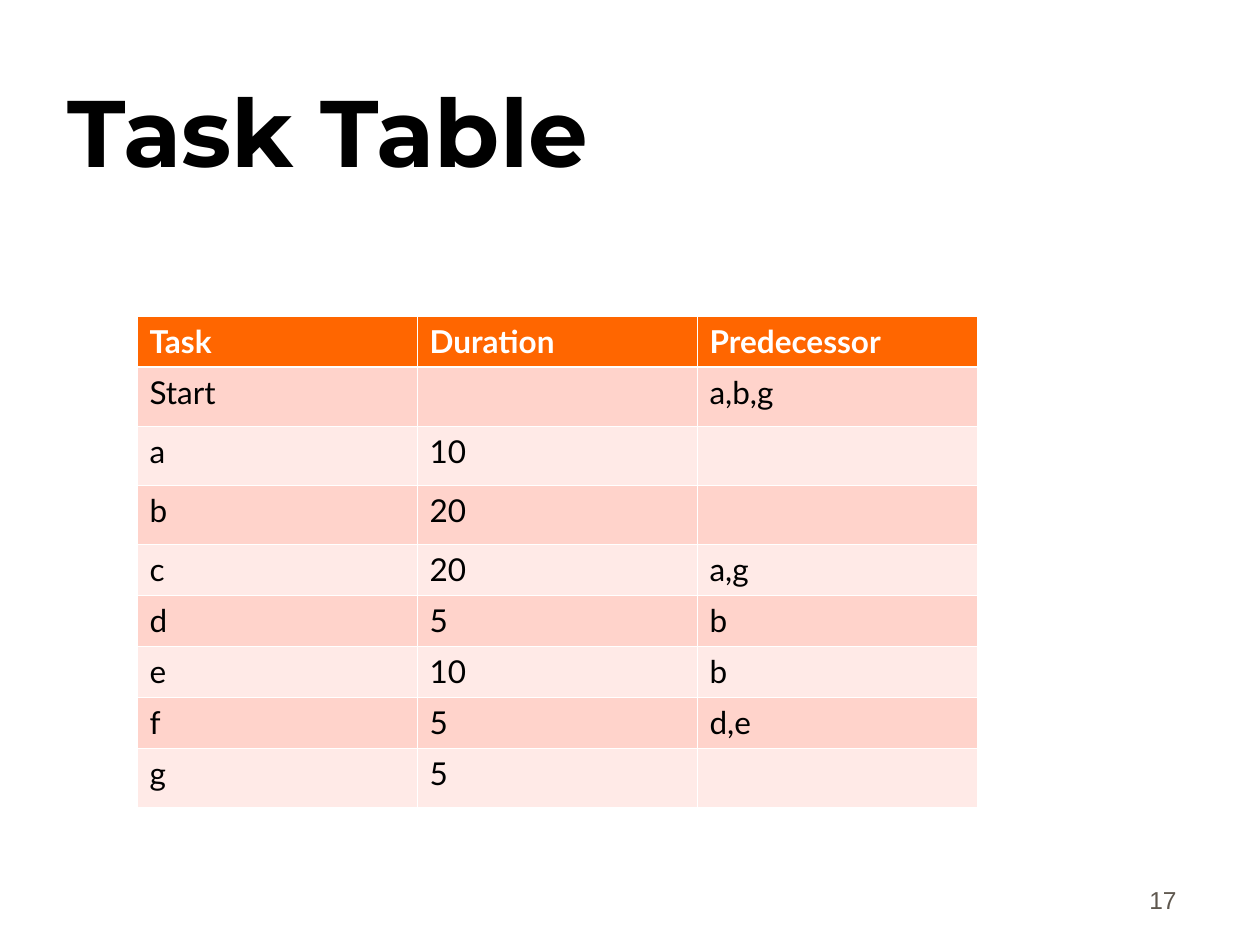
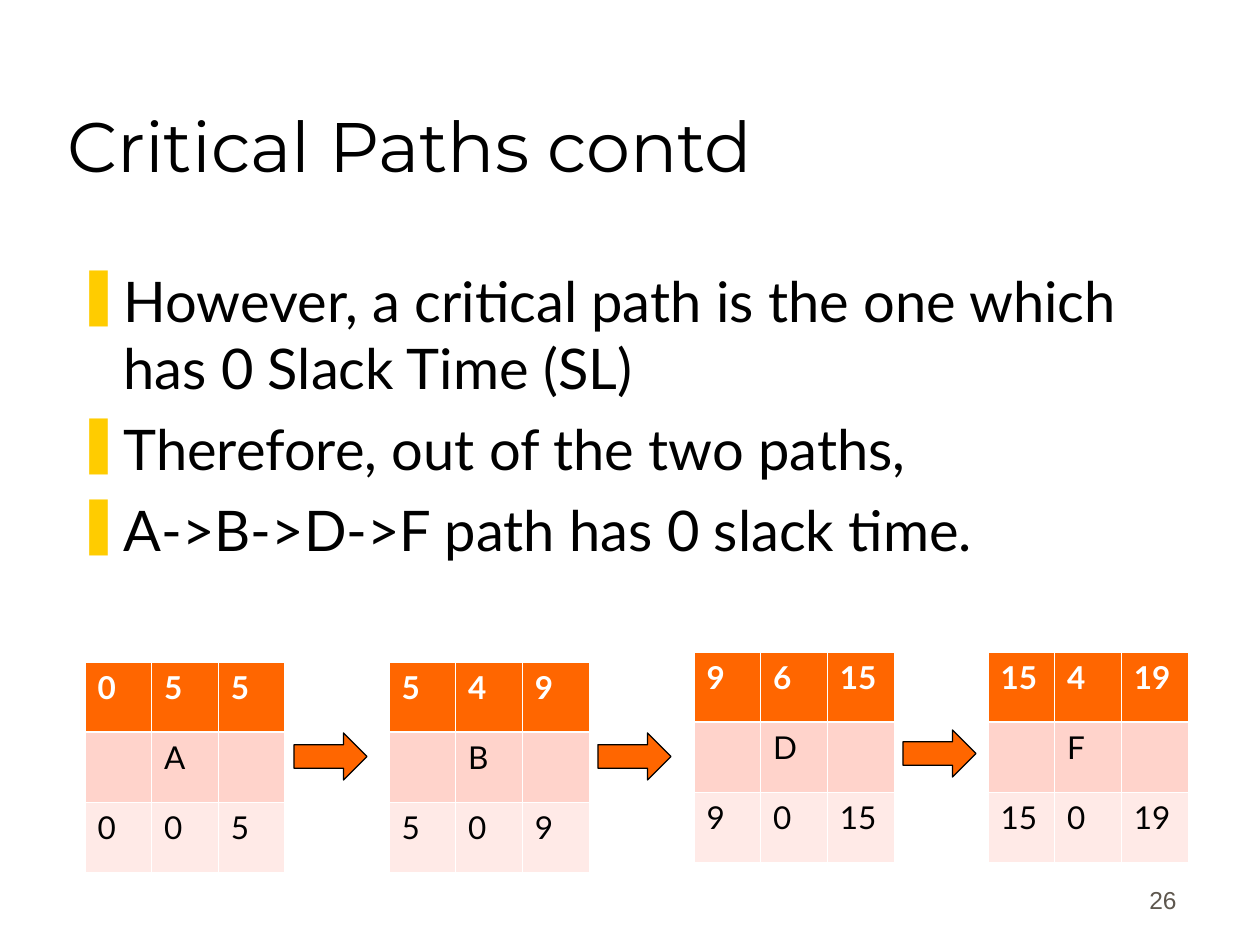
from lxml import etree
from pptx import Presentation
from pptx.dml.color import RGBColor
from pptx.enum.shapes import MSO_SHAPE
from pptx.enum.text import MSO_ANCHOR, PP_ALIGN
from pptx.oxml.ns import qn
from pptx.util import Pt

RIGHT_ARROW = MSO_SHAPE.RIGHT_ARROW
TOP, BOTTOM = MSO_ANCHOR.TOP, MSO_ANCHOR.BOTTOM
LEFT, RIGHT = PP_ALIGN.LEFT, PP_ALIGN.RIGHT

PX = 914400 / 126
COLORS = {
    "black": "000000",
    "white": "FFFFFF",
    "orange": "FF6600",
    "band_dark": "FFD3CB",
    "band_light": "FFEAE7",
    "bullet": "FFCC00",
    "number": "5E574E",
}
RGB = {name: RGBColor.from_string(value) for name, value in COLORS.items()}


def add_text(s, box, lines, size, font, color="black", bold=False, anchor=TOP, align=LEFT):
    tf = s.shapes.add_textbox(*[int(v * PX) for v in box]).text_frame
    tf.word_wrap = True
    tf.vertical_anchor = anchor
    tf.text = "\n".join(lines)
    for p in tf.paragraphs:
        p.alignment = align
        f = p.runs[0].font
        f.size, f.name, f.bold = Pt(size), font, bold
        f.color.rgb = RGB[color]
    return tf


def add_table(s, x, y, width, heights, rows):
    """Add a table with an orange header row, banded body and white rules."""
    cols = len(rows[0])
    frame = s.shapes.add_table(len(rows), cols, int(x * PX), int(y * PX),
                               int(width * PX), int(sum(heights) * PX))
    table = frame.table
    for col in table.columns:
        col.width = int(width * PX / cols)
    for i, row in enumerate(rows):
        table.rows[i].height = int(heights[i] * PX)
        fill = "orange" if i == 0 else ("band_light", "band_dark")[i % 2]
        for j, text in enumerate(row):
            cell = table.cell(i, j)
            tcPr = cell._tc.get_or_add_tcPr()
            for side in ("lnL", "lnR", "lnT", "lnB"):
                thick = (i, side) in ((0, "lnB"), (1, "lnT"))
                ln = etree.SubElement(tcPr, qn("a:" + side), w=str(Pt(1.47 if thick else 0.45)))
                solid = etree.SubElement(ln, qn("a:solidFill"))
                etree.SubElement(solid, qn("a:srgbClr"), val=COLORS["white"])
            cell.fill.solid()
            cell.fill.fore_color.rgb = RGB[fill]
            if text:
                p = cell.text_frame.paragraphs[0]
                p.text = text
                f = p.runs[0].font
                f.size, f.name, f.bold = Pt(18), "Lato", i == 0
                f.color.rgb = RGB["white" if i == 0 else "black"]


prs = Presentation()
prs.slide_width, prs.slide_height = int(1260 * PX), int(945 * PX)

# Titles and slide numbers
slides = []
for title, size, bold, number in (
    ("Task Table", 54, True, "17"),
    ("Critical Paths contd", 40, False, "26"),
):
    s = prs.slides.add_slide(prs.slide_layouts[6])
    tf = add_text(s, (55, 32, 1071, 157), [title], size, "Montserrat", bold=bold, anchor=BOTTOM)
    tf.margin_bottom = int(3 * PX)
    add_text(s, (927, 858, 262, 63), [number], 14, "Arial", "number", anchor=BOTTOM, align=RIGHT)
    slides.append(s)
task_slide, path_slide = slides

# Task table: rows with an empty cell are taller
tasks = [
    ("Task", "Duration", "Predecessor"),
    ("Start", "", "a,b,g"),
    ("a", "10", ""),
    ("b", "20", ""),
    ("c", "20", "a,g"),
    ("d", "5", "b"),
    ("e", "10", "b"),
    ("f", "5", "d,e"),
    ("g", "5", ""),
]
add_table(task_slide, 137, 316, 840, [51 if all(row) else 59 for row in tasks], tasks)

# Bulleted text
tf = add_text(path_slide, (63, 260, 1126, 575), [
    "However, a critical path is the one which has 0 Slack Time (SL)",
    "Therefore, out of the two paths,",
    "A->B->D->F path has 0 slack time.",
], 32, "Lato")
for i, p in enumerate(tf.paragraphs):
    if i:
        p.space_before = Pt(8)
    pPr = p._p.get_or_add_pPr()
    pPr.set("marL", str(int(48 * PX)))
    pPr.set("indent", str(int(-48 * PX)))
    clr = etree.SubElement(pPr, qn("a:buClr"))
    etree.SubElement(clr, qn("a:srgbClr"), val=COLORS["bullet"])
    etree.SubElement(pPr, qn("a:buChar"), char="❚")

# Critical path: start, duration, finish above each name; start, slack, finish below
nodes = [
    (85, 662, "A", ("0", "5", "5"), ("0", "0", "5")),
    (389, 662, "B", ("5", "4", "9"), ("5", "0", "9")),
    (694, 652, "D", ("9", "6", "15"), ("9", "0", "15")),
    (988, 652, "F", ("15", "4", "19"), ("15", "0", "19")),
]
for x, y, name, early, late in nodes:
    add_table(path_slide, x, y, 200, [70] * 3, [early, ("", name, ""), late])

for x, y in ((294, 733), (598, 733), (903, 730)):
    sp = path_slide.shapes.add_shape(RIGHT_ARROW, *[int(v * PX) for v in (x, y, 73, 47)])
    sp.shadow.inherit = False
    sp.fill.solid()
    sp.fill.fore_color.rgb = RGB["orange"]
    sp.line.color.rgb = RGB["black"]
    sp.line.width = Pt(0.75)

prs.save("out.pptx")
